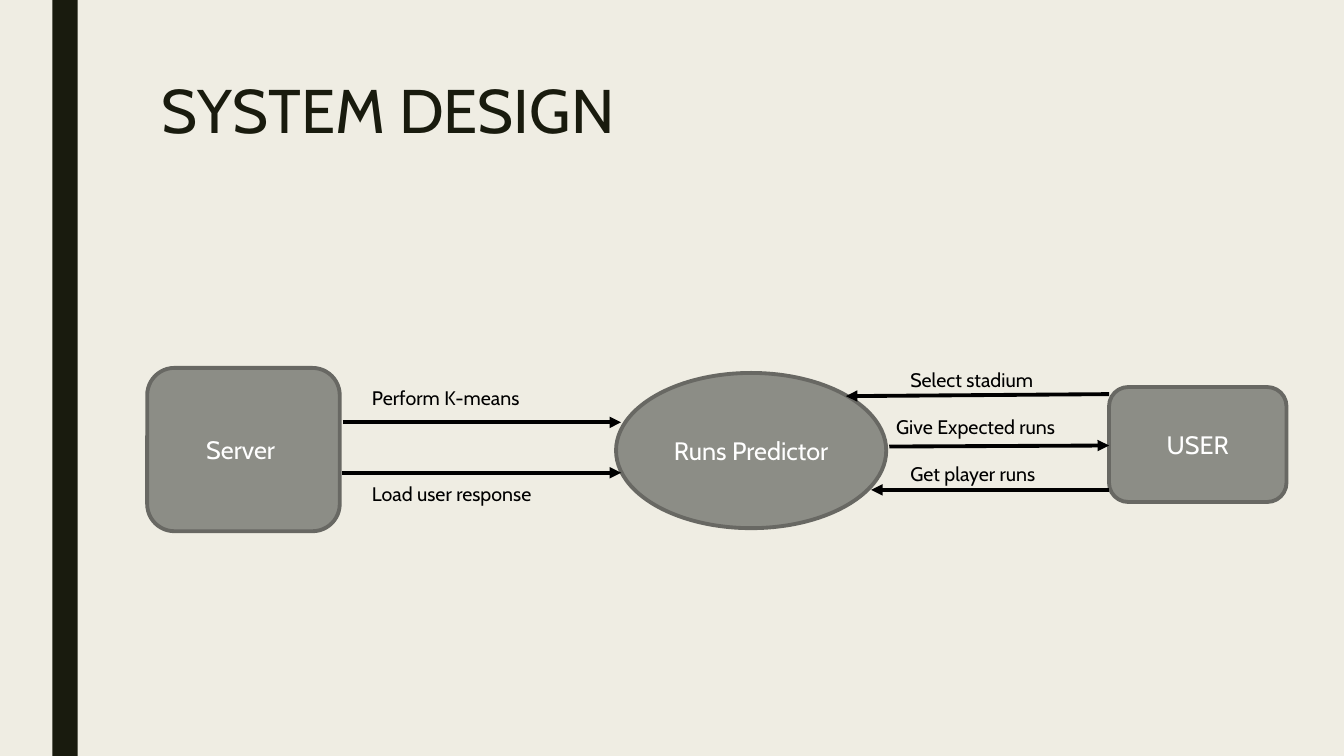
from dataclasses import dataclass

import pptx
import pptx.dml.color
import pptx.enum.shapes
import pptx.enum.text
import pptx.oxml
import pptx.oxml.ns
import pptx.shapes.base
import pptx.slide
import pptx.text.text
import pptx.util
from pptx.util import Inches

Color = pptx.dml.color.RGBColor
Align = pptx.enum.text.PP_ALIGN
Anchor = pptx.enum.text.MSO_ANCHOR
Geometry = pptx.enum.shapes.MSO_SHAPE


@dataclass(frozen=True)
class Theme:
    font: str = "Cabin"
    background: Color = Color(0xEF, 0xED, 0xE3)
    dark: Color = Color(0x19, 0x1B, 0x0E)
    node_fill: Color = Color(0x8C, 0x8D, 0x86)
    node_line: Color = Color(0x68, 0x68, 0x63)
    node_text: Color = Color(0xFF, 0xFF, 0xFF)
    flow: Color = Color(0, 0, 0)
    title_size: float = 44
    node_size: float = 18
    label_size: float = 14
    line_width: float = 2.75


@dataclass(frozen=True)
class Box:
    left: float
    top: float
    width: float
    height: float

    def lengths(self) -> tuple[int, ...]:
        return tuple(Inches(v) for v in (self.left, self.top, self.width, self.height))


@dataclass(frozen=True)
class Node:
    text: str
    geometry: Geometry
    box: Box


@dataclass(frozen=True)
class Flow:
    text: str
    label: Box
    start: tuple[float, float]
    end: tuple[float, float]


THEME = Theme()
LABEL_HEIGHT = 0.34

NODES = (
    Node("Server ", Geometry.FLOWCHART_ALTERNATE_PROCESS, Box(1.46, 3.65, 1.91, 1.62)),
    Node("Runs Predictor", Geometry.OVAL, Box(6.11, 3.7, 2.68, 1.54)),
    Node("USER", Geometry.FLOWCHART_ALTERNATE_PROCESS, Box(11, 3.84, 1.76, 1.14)),
)

FLOWS = (
    Flow("Perform K-means", Box(3.59, 3.78, 2.45, LABEL_HEIGHT), (3.4, 4.19), (6.16, 4.19)),
    Flow("Load user response", Box(3.59, 4.73, 2.45, LABEL_HEIGHT), (3.39, 4.69), (6.16, 4.69)),
    Flow("Select stadium ", Box(8.93, 3.6, 1.57, LABEL_HEIGHT), (11, 3.91), (8.39, 3.93)),
    Flow("Give Expected runs", Box(8.79, 4.07, 1.8, LABEL_HEIGHT), (8.82, 4.43), (11, 4.42)),
    Flow("Get player runs", Box(8.93, 4.53, 2.32, LABEL_HEIGHT), (11, 4.86), (8.64, 4.86)),
)


def write(frame: pptx.text.text.TextFrame, text: str, size: float, color: Color,
          align: Align, anchor: Anchor) -> None:
    frame.word_wrap = True
    frame.vertical_anchor = anchor
    paragraph = frame.paragraphs[0]
    paragraph.alignment = align
    run = paragraph.add_run()
    run.text = text
    run.font.name = THEME.font
    run.font.size = pptx.util.Pt(size)
    run.font.color.rgb = color


def add_title(slide: pptx.slide.Slide, text: str, box: Box) -> None:
    title = slide.shapes.title
    title.left, title.top, title.width, title.height = box.lengths()
    write(title.text_frame, text, THEME.title_size, THEME.dark, Align.LEFT, Anchor.TOP)
    title.text_frame.auto_size = pptx.enum.text.MSO_AUTO_SIZE.NONE
    title.text_frame.paragraphs[0].line_spacing = 0.89


def add_filled(slide: pptx.slide.Slide, geometry: Geometry, box: Box,
               fill: Color) -> pptx.shapes.base.BaseShape:
    shape = slide.shapes.add_shape(geometry, *box.lengths())
    shape.shadow.inherit = False
    shape.fill.solid()
    shape.fill.fore_color.rgb = fill
    return shape


def add_node(slide: pptx.slide.Slide, node: Node) -> None:
    shape = add_filled(slide, node.geometry, node.box, THEME.node_fill)
    shape.line.color.rgb = THEME.node_line
    shape.line.width = pptx.util.Pt(THEME.line_width)
    write(shape.text_frame, node.text, THEME.node_size, THEME.node_text,
          Align.CENTER, Anchor.MIDDLE)


def add_flow(slide: pptx.slide.Slide, flow: Flow) -> None:
    ends = [Inches(v) for v in flow.start + flow.end]
    arrow = slide.shapes.add_connector(pptx.enum.shapes.MSO_CONNECTOR.STRAIGHT, *ends)
    arrow.line.color.rgb = THEME.flow
    arrow.line.width = pptx.util.Pt(THEME.line_width)
    qn = pptx.oxml.ns.qn
    head = arrow.line._get_or_add_ln().makeelement(qn("a:tailEnd"), {"type": "triangle"})
    arrow.line._get_or_add_ln().append(head)
    properties = arrow._element.spPr
    properties.append(properties.makeelement(qn("a:effectLst"), {}))

    label = slide.shapes.add_textbox(*flow.label.lengths())
    write(label.text_frame, flow.text, THEME.label_size, THEME.flow, Align.LEFT, Anchor.TOP)
    label.text_frame.auto_size = pptx.enum.text.MSO_AUTO_SIZE.SHAPE_TO_FIT_TEXT


def main() -> None:
    deck = pptx.Presentation()
    deck.slide_width, deck.slide_height = Inches(13.33), Inches(7.5)
    slide = deck.slides.add_slide(deck.slide_layouts.get_by_name("Title Only"))
    slide.background.fill.solid()
    slide.background.fill.fore_color.rgb = THEME.background

    side_bar = add_filled(slide, Geometry.RECTANGLE, Box(0.52, 0, 0.25, 7.5), THEME.dark)
    side_bar.line.fill.background()
    add_title(slide, "SYSTEM DESIGN", Box(1.5, 0.75, 10.5, 1.62))
    for node in NODES:
        add_node(slide, node)
    for flow in FLOWS:
        add_flow(slide, flow)
    deck.save("out.pptx")


main()
